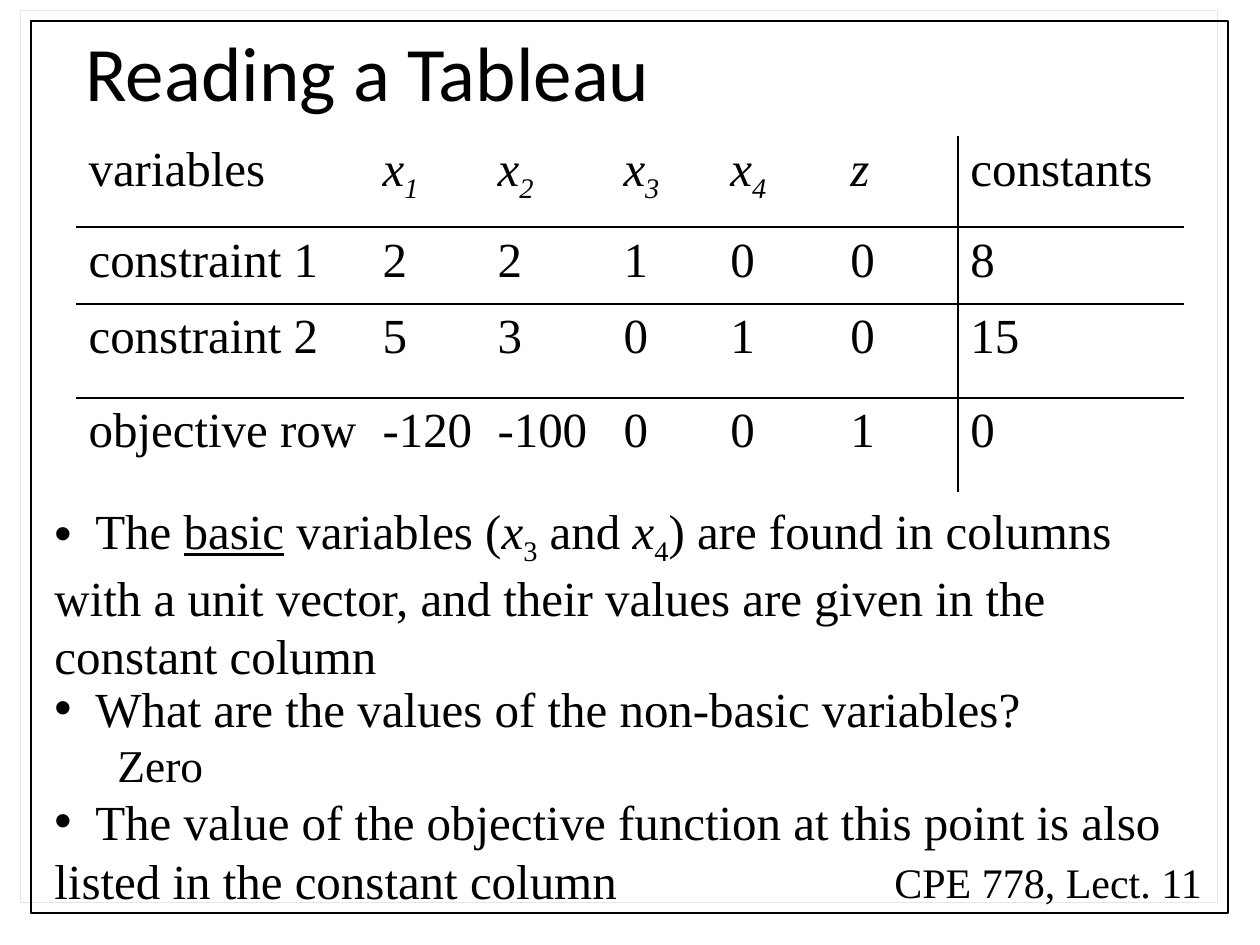
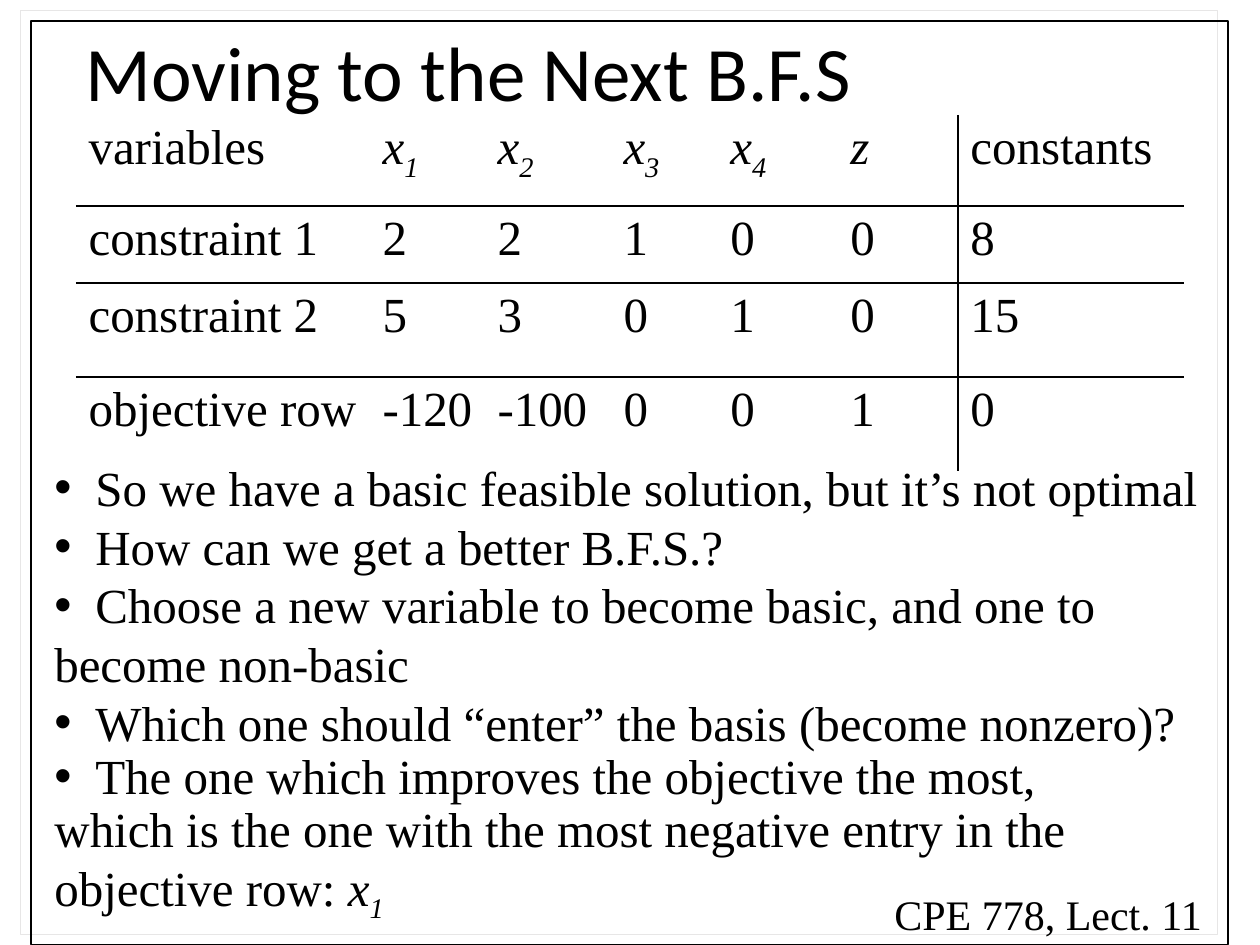
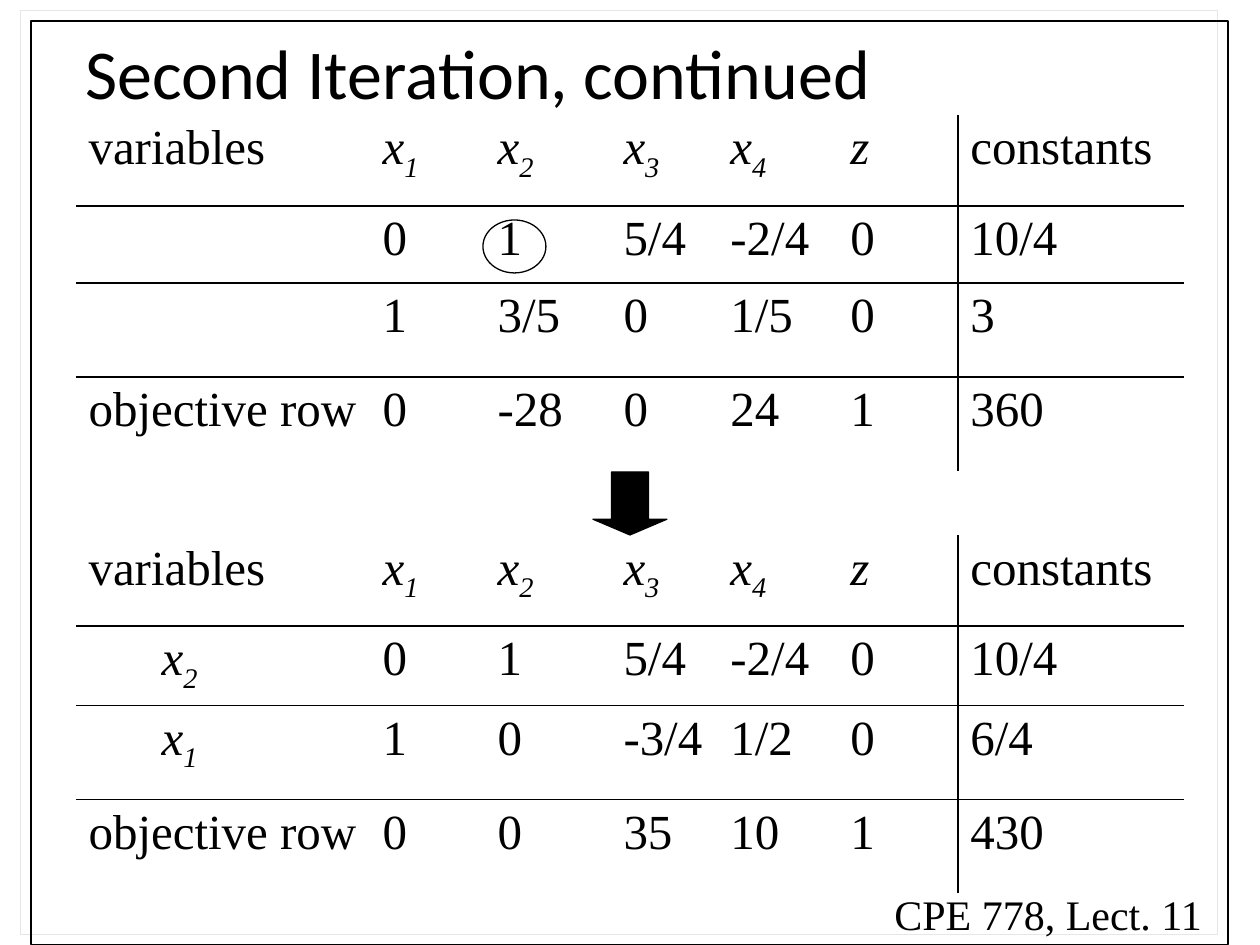
from lxml.etree import SubElement
from pptx import Presentation
from pptx.dml.color import RGBColor
from pptx.enum.shapes import MSO_SHAPE as SHAPE
from pptx.enum.text import MSO_ANCHOR as ANCHOR, MSO_AUTO_SIZE as AUTO
from pptx.oxml.ns import qn
from pptx.util import Pt

PX = 914400 // 126
COLORS = {"ink": "000000", "shadow": "E7E6E6"}
TITLE_FONT, BODY_FONT = "Calibri", "Times New Roman"
BODY_SIZE = 28
NO_STYLE = "{2D5ABB26-0587-4C30-8999-92F81FD0307C}"
COLS = [294, 115, 126, 107, 120, 120, 226]
ROWS = [91, 77, 94, 94]
TABLE_X = 76
TEXT_X = 42
BULLET_TAB = 41
LABEL_INDENT = 73


def px(*values):
    return [v * PX for v in values]


def color(name):
    return RGBColor.from_string(COLORS[name])


def node(parent, tag, **attrs):
    return SubElement(parent, qn(tag), {k: str(v) for k, v in attrs.items()})


def solid(parent, name):
    node(node(parent, "a:solidFill"), "a:srgbClr", val=COLORS[name])


def var(name, sub):
    """Runs for an italic variable with its italic subscript."""
    return [(name, "i"), (sub, "is")]


def add_runs(p, runs, size=BODY_SIZE, font=BODY_FONT):
    """Add (text, style) runs; style letters: i italic, u underline, s subscript."""
    for text, style in [(runs, "")] if isinstance(runs, str) else runs:
        r = p.add_run()
        r.text = text
        r.font.name, r.font.size = font, Pt(size)
        r.font.color.rgb = color("ink")
        if "i" in style:
            r.font.italic = True
        if "u" in style:
            r.font.underline = True
        if "s" in style:
            r.font._element.set("baseline", "-25000")


def add_text(s, x, y, w, h, wrap=True, grow=True):
    tf = s.shapes.add_textbox(*px(x, y, w, h)).text_frame
    tf.word_wrap = wrap
    tf.auto_size = AUTO.SHAPE_TO_FIT_TEXT if grow else AUTO.NONE
    return tf


def next_paragraph(tf):
    return tf.add_paragraph() if tf.paragraphs[0].runs else tf.paragraphs[0]


def add_bullet(tf, runs, spacing=None):
    """Add a bullet whose first line is tabbed and whose other lines start flush left."""
    p = next_paragraph(tf)
    if spacing:
        p.line_spacing = spacing
    pPr = p._p.get_or_add_pPr()
    pPr.set("marL", "0")
    pPr.set("indent", "0")
    node(pPr, "a:buFont", typeface="Arial")
    node(pPr, "a:buChar", char="•")
    node(node(pPr, "a:tabLst"), "a:tab", pos=BULLET_TAB * PX, algn="l")
    add_runs(p, "\t")
    add_runs(p, runs)


def add_answer(tf, text):
    p = next_paragraph(tf)
    p._p.get_or_add_pPr().set("marL", str(63 * PX))
    add_runs(p, text, 26)


def add_outline(s, kind, x, y, w, h, filled=False):
    sp = s.shapes.add_shape(kind, *px(x, y, w, h))
    sp.shadow.inherit = False
    if filled:
        sp.fill.solid()
        sp.fill.fore_color.rgb = color("ink")
    else:
        sp.fill.background()
    sp.line.color.rgb = color("ink")
    sp.line.width = Pt(0.75)
    return sp


def add_frame(s, bottom):
    """Add the page border with its hard shadow up and to the left."""
    sp = add_outline(s, SHAPE.RECTANGLE, 31, 21, 1197, bottom - 21)
    effects = sp._element.spPr.find(qn("a:effectLst"))
    shadow = node(effects, "a:outerShdw", blurRad=0, dist=Pt(8.5),
                  dir=225 * 60000, algn="ctr", rotWithShape=0)
    node(shadow, "a:srgbClr", val=COLORS["shadow"])


def add_base(prs, title, bottom=945, title_size=44):
    """Add a slide with the shared title, frame and footer."""
    s = prs.slides.add_slide(prs.slide_layouts[6])
    tf = add_text(s, 73, 0, 1113, 158, grow=False)
    tf.vertical_anchor = ANCHOR.MIDDLE
    p = tf.paragraphs[0]
    p.line_spacing = 0.8
    add_runs(p, title, title_size, TITLE_FONT)
    add_frame(s, bottom)
    tf = add_text(s, 882, bottom - 63, 334, 63, wrap=False)
    add_runs(tf.paragraphs[0], "CPE 778, Lect. 11", 24)
    return s


def rule_cell(cell, row, col):
    """Draw the rules under rows 0 and 2 and left of the constants."""
    last = len(COLS) - 1
    sides = {"a:lnL": col == last, "a:lnR": col == last - 1,
             "a:lnT": row in (1, 3), "a:lnB": row in (0, 2)}
    tcPr = cell._tc.get_or_add_tcPr()
    for tag, shown in sides.items():
        if shown:
            solid(node(tcPr, tag, w=Pt(1)), "ink")
    cell.fill.background()


def add_tableau(s, y, body):
    head = ["variables", *(var("x", n) for n in "1234"), [("z", "i")], "constants"]
    tbl = s.shapes.add_table(len(ROWS), len(COLS),
                             *px(TABLE_X, y, sum(COLS), sum(ROWS))).table
    tbl.first_row = tbl.horz_banding = False
    tbl._tbl.tblPr.find(qn("a:tableStyleId")).text = NO_STYLE
    for column, w in zip(tbl.columns, COLS):
        column.width = w * PX
    for row, h in zip(tbl.rows, ROWS):
        row.height = h * PX
    for i, values in enumerate([head, *body]):
        for j, value in enumerate(values):
            cell = tbl.cell(i, j)
            rule_cell(cell, i, j)
            if not value:
                continue
            p = cell.text_frame.paragraphs[0]
            pPr = p._p.get_or_add_pPr()
            node(node(pPr, "a:spcBef"), "a:spcPct", val=20000)
            if i and not isinstance(value, str):
                pPr.set("marL", str(LABEL_INDENT * PX))
            add_runs(p, value)


def numbers(label, values):
    return [label, *values.split()]


FIRST_TABLEAU = [
    numbers("constraint 1", "2 2 1 0 0 8"),
    numbers("constraint 2", "5 3 0 1 0 15"),
    numbers("objective row", "-120 -100 0 0 1 0"),
]
BEFORE_PIVOT = [
    numbers("", "0 1 5/4 -2/4 0 10/4"),
    numbers("", "1 3/5 0 1/5 0 3"),
    numbers("objective row", "0 -28 0 24 1 360"),
]
AFTER_PIVOT = [
    numbers(var("x", "2"), "0 1 5/4 -2/4 0 10/4"),
    numbers(var("x", "1"), "1 0 -3/4 1/2 0 6/4"),
    numbers("objective row", "0 0 35 10 1 430"),
]


def reading_slide(prs):
    s = add_base(prs, "Reading a Tableau", bottom=913)
    tf = add_text(s, TEXT_X, 494, 1144, 189)
    add_bullet(tf, [
        ("The ", ""), ("basic", "u"), (" variables (", ""),
        ("x", "i"), ("3", "s"), (" and ", ""), ("x", "i"), ("4", "s"),
        (") are found in columns with a unit vector, and their values "
         "are given in the constant column", "")])
    add_tableau(s, 136, FIRST_TABLEAU)
    tf = add_text(s, TEXT_X, 672, 1134, 244)
    add_bullet(tf, "What are the values of the non-basic variables?")
    add_answer(tf, "Zero")
    add_bullet(tf, "The value of the objective function at this point is also "
                   "listed in the constant column")


def next_bfs_slide(prs):
    s = add_base(prs, "Moving to the Next B.F.S")
    tf = add_text(s, TEXT_X, 451, 1176, 307)
    for text in ("So we have a basic feasible solution, but it’s not optimal",
                 "How can we get a better B.F.S.?",
                 "Choose a new variable to become basic, and one to become non-basic",
                 "Which one should “enter” the basis (become nonzero)?"):
        add_bullet(tf, text)
    add_tableau(s, 115, FIRST_TABLEAU)
    tf = add_text(s, TEXT_X, 746, 1094, 171)
    add_bullet(tf, [("The one which improves the objective the most, which is the one "
                     "with the most negative entry in the objective row: ", ""),
                    *var("x", "1")], spacing=0.9)


def second_iteration_slide(prs):
    s = add_base(prs, "Second Iteration, continued", title_size=40)
    add_tableau(s, 115, BEFORE_PIVOT)
    add_outline(s, SHAPE.OVAL, 483, 220, 63, 53)
    arrow = add_outline(s, SHAPE.DOWN_ARROW, 593, 472, 74, 63, filled=True)
    arrow.adjustments[0], arrow.adjustments[1] = 0.5, 0.25
    add_tableau(s, 535, AFTER_PIVOT)


def main():
    prs = Presentation()
    prs.slide_width, prs.slide_height = px(1260, 945)
    reading_slide(prs)
    next_bfs_slide(prs)
    second_iteration_slide(prs)
    prs.save("out.pptx")


if __name__ == "__main__":
    main()
